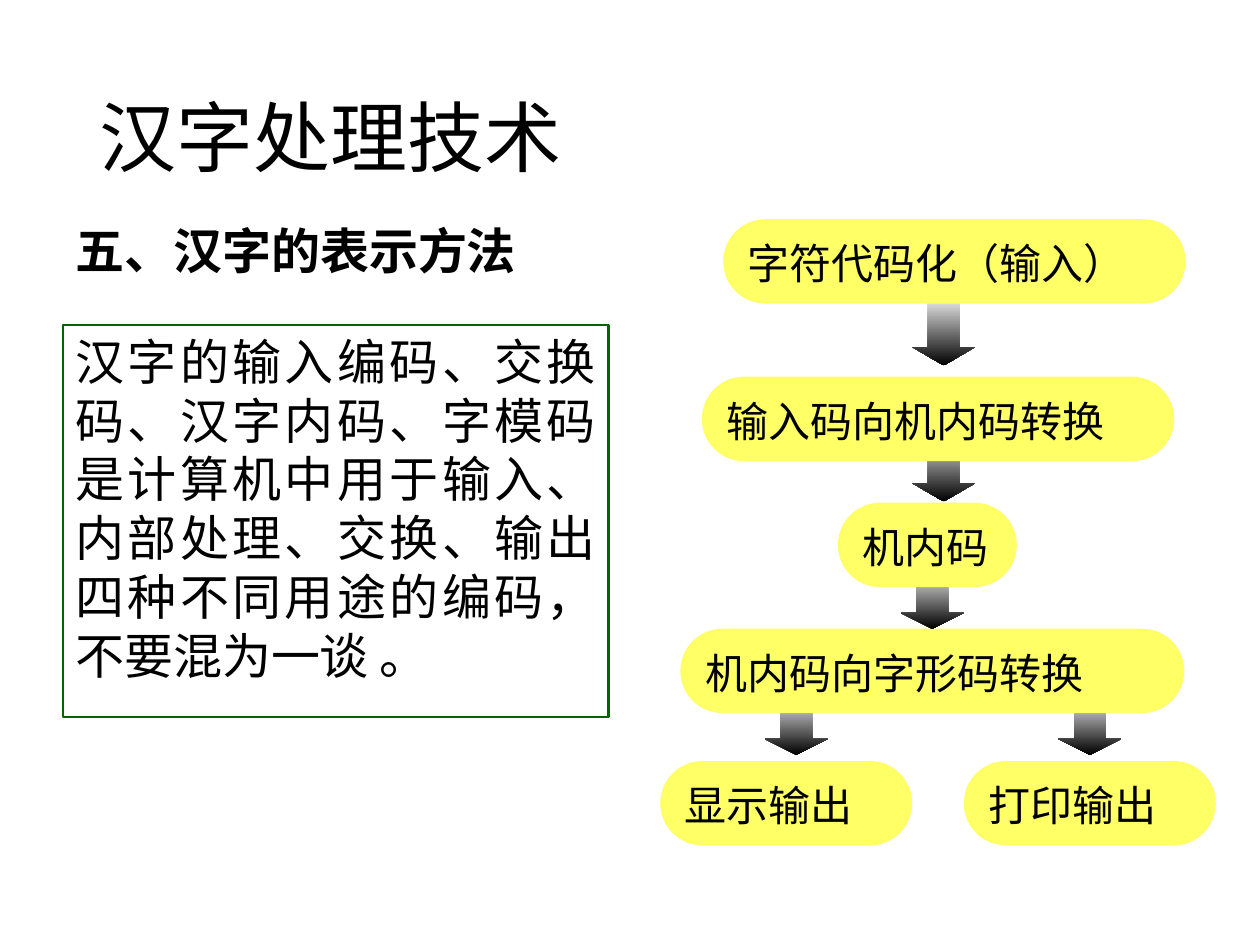
from dataclasses import dataclass

import pptx
import pptx.dml.color
import pptx.enum.shapes
import pptx.enum.text
import pptx.oxml
import pptx.oxml.ns
import pptx.util

SHAPES = pptx.enum.shapes.MSO_SHAPE
ALIGN = pptx.enum.text.PP_ALIGN
ANCHOR = pptx.enum.text.MSO_ANCHOR
FIT = pptx.enum.text.MSO_AUTO_SIZE


@dataclass(frozen=True)
class Theme:
    ink: str = "000000"
    step_fill: str = "FFFF66"
    frame_line: str = "006600"
    arrow_top: str = "FFFFFF"
    title_font: str = "Calibri"
    note_font: str = "Arial"
    step_font: str = "Times New Roman"
    title_size: int = 44
    body_size: int = 28
    step_size: int = 24


THEME = Theme()
WIDTH, HEIGHT = 10, 7.5
STEP_HEIGHT = 0.67
ARROW_WIDTH = 0.5

# Text, left, top and width in inches
STEPS = [
    ("显示输出", 5.24, 6.04, 2),
    ("打印输出", 7.65, 6.04, 2),
    ("机内码向字形码转换", 5.4, 4.99, 4),
    ("机内码", 6.65, 3.99, 1.42),
    ("输入码向机内码转换", 5.57, 2.99, 3.75),
    ("字符代码化（输入）", 5.74, 1.74, 3.67),
]
# Left, top, height and head share of the arrow that leads into each step
ARROWS = [
    (6.07, 5.49, 0.5, 0.25),
    (8.4, 5.49, 0.5, 0.25),
    (7.15, 4.49, 0.5, 0.25),
    (7.24, 3.4, 0.58, 0.29),
    (7.24, 2.32, 0.58, 0.29),
]


def color(value):
    return pptx.dml.color.RGBColor.from_string(value)


def inches(*lengths):
    return [pptx.util.Inches(length) for length in lengths]


def write(shape, text, font, size, bold=False, align=ALIGN.LEFT):
    frame = shape.text_frame
    frame.word_wrap = True
    para = frame.paragraphs[0]
    para.text = text
    para.alignment = align
    para.font.name = font
    para.font.size = pptx.util.Pt(size)
    para.font.bold = bold
    para.font.color.rgb = color(THEME.ink)
    return para


def place(shape, *area):
    shape.left, shape.top, shape.width, shape.height = inches(*area)


def add_plain_shape(slide, kind, *area):
    shape = slide.shapes.add_shape(kind, *inches(*area))
    shape.shadow.inherit = False
    shape.line.fill.background()
    shape.text_frame.vertical_anchor = ANCHOR.TOP
    return shape


def fill_title(slide, text):
    title = slide.shapes.title
    place(title, 0.69, 0.4, 8.62, 1.45)
    title.text_frame.auto_size = FIT.NONE
    title.text_frame.vertical_anchor = ANCHOR.MIDDLE
    para = write(title, text, THEME.title_font, THEME.title_size)
    para.line_spacing = 0.9


def fill_heading(slide, text):
    body = slide.placeholders[1]
    place(body, 0.5, 1.75, 9, 4.95)
    body.text_frame.auto_size = FIT.NONE
    para = body.text_frame.paragraphs[0]
    properties = para._p.get_or_add_pPr()
    indent = pptx.util.Inches(0.25)
    properties.set("marL", str(indent))
    properties.set("indent", str(-indent))
    properties.append(pptx.oxml.parse_xml(
        f"<a:buNone {pptx.oxml.ns.nsdecls('a')}/>"))
    write(body, text, THEME.title_font, THEME.body_size, bold=True)
    para.line_spacing = 0.9
    para.space_before = pptx.util.Pt(0)


def add_note(slide, text):
    note = add_plain_shape(slide, SHAPES.RECTANGLE, 0.5, 2.58, 4.33, 3.11)
    note.fill.background()
    note.line.color.rgb = color(THEME.frame_line)
    note.line.width = pptx.util.Pt(1.5)
    write(note, text, THEME.note_font, THEME.body_size, align=ALIGN.JUSTIFY)


def add_step(slide, text, left, top, width):
    step = add_plain_shape(slide, SHAPES.ROUNDED_RECTANGLE,
                           left, top, width, STEP_HEIGHT)
    step.adjustments[0] = 0.5
    step.fill.solid()
    step.fill.fore_color.rgb = color(THEME.step_fill)
    step.text_frame.auto_size = FIT.SHAPE_TO_FIT_TEXT
    write(step, text, THEME.step_font, THEME.step_size)


def add_arrow(slide, left, top, height, head):
    arrow = add_plain_shape(slide, SHAPES.DOWN_ARROW,
                            left, top, ARROW_WIDTH, height)
    arrow.adjustments[0] = 0.5
    arrow.adjustments[1] = head * height / ARROW_WIDTH if head > 1 else head
    arrow.fill.gradient()
    arrow.fill.gradient_angle = 270
    for stop, shade in zip(arrow.fill.gradient_stops,
                           (THEME.arrow_top, THEME.ink)):
        stop.color.rgb = color(shade)


def add_flow(slide):
    """Draw from the last step upwards, so each step covers the arrow it starts."""
    for index, step in enumerate(STEPS):
        add_step(slide, *step)
        if index < len(ARROWS):
            add_arrow(slide, *ARROWS[index])


def main():
    deck = pptx.Presentation()
    deck.slide_width, deck.slide_height = inches(WIDTH, HEIGHT)
    slide = deck.slides.add_slide(deck.slide_layouts[1])
    fill_title(slide, "汉字处理技术")
    fill_heading(slide, "五、汉字的表示方法")
    add_note(slide, "汉字的输入编码、交换码、汉字内码、字模码是计算机中用于输入、"
                    "内部处理、交换、输出四种不同用途的编码，不要混为一谈 。")
    add_flow(slide)
    deck.save("out.pptx")


if __name__ == "__main__":
    main()
